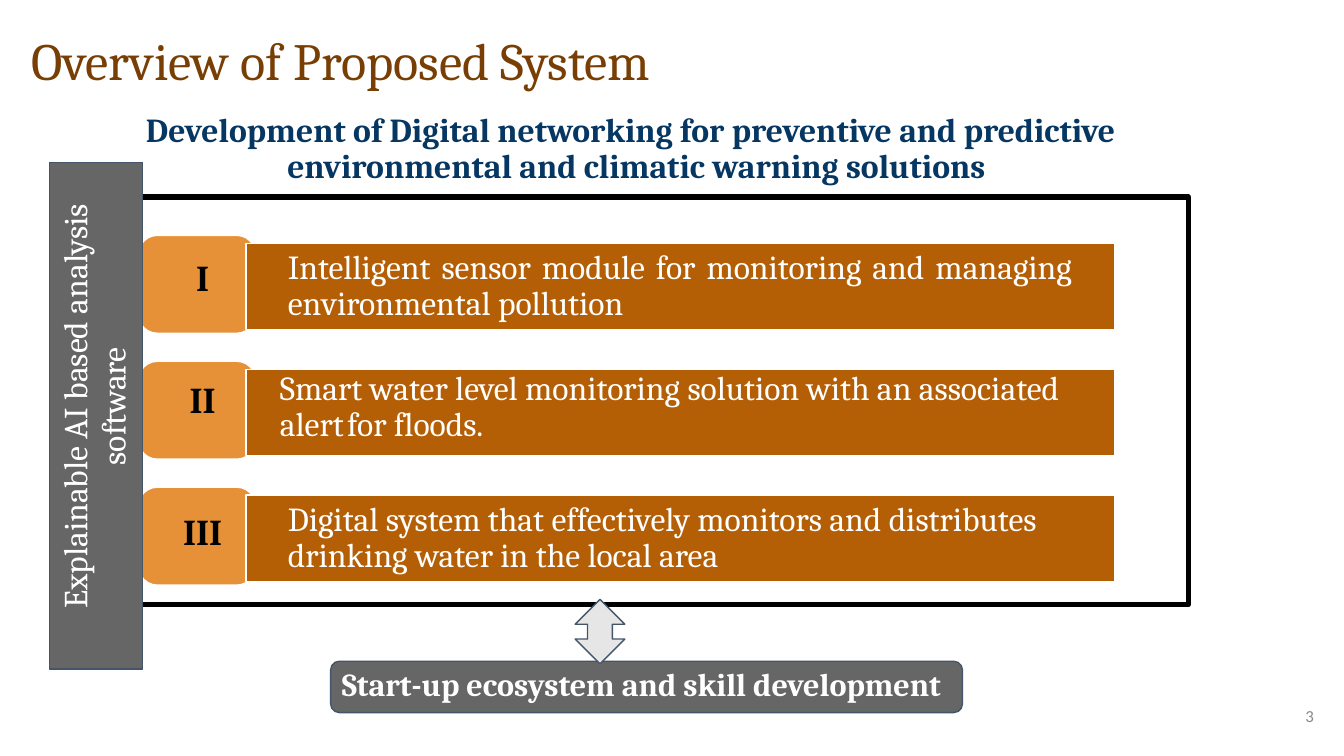
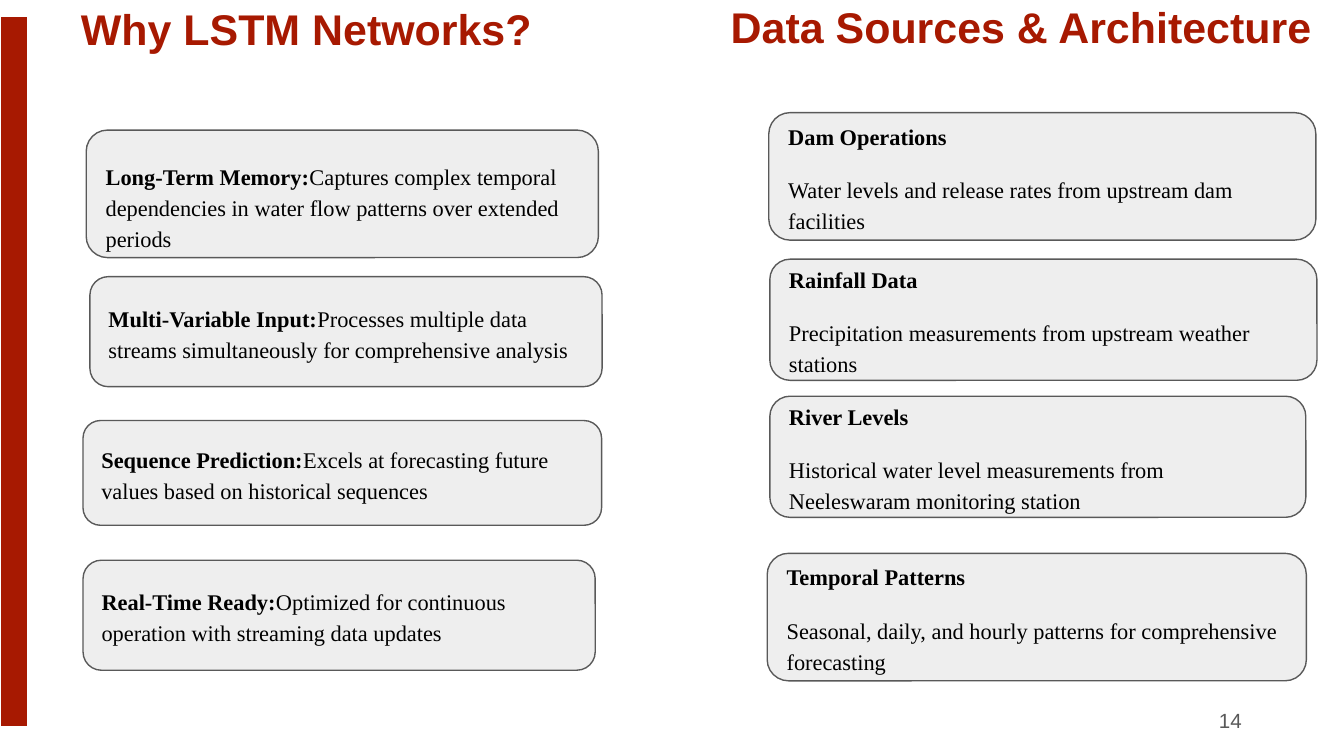
"""Build two slides: the proposed system overview and the reasons for LSTM networks."""

from lxml.etree import SubElement
from pptx import Presentation
from pptx.dml.color import RGBColor
from pptx.enum.shapes import MSO_SHAPE
from pptx.enum.text import MSO_ANCHOR, MSO_AUTO_SIZE, PP_ALIGN
from pptx.oxml.ns import qn
from pptx.util import Cm, Pt

THEME = {
    "colours": {
        "white": "FFFFFF", "black": "000000", "brown": "783E04", "navy": "063763",
        "row": "B45F06", "badge": "E69137", "block": "666666", "outline": "44546A",
        "arrow": "E7E6E6", "red": "A71901", "card": "EEEEEE", "edge": "595959",
        "number": "888888",
    },
    "text": {
        "title": ("Cambria", 28, "brown", False),
        "heading": ("Cambria", 18, "navy", True),
        "row": ("Cambria", 18, "white", False),
        "ecosystem": ("Cambria", 17.2, "white", True),
        "numeral": ("Cambria", 19.5, "black", True),
        "small number": ("Calibri", 9, "number", False),
        "section": ("Arial", 23, "red", True),
        "card": ("Times New Roman", 12, "black", False),
        "page number": ("Arial", 11, "edge", False),
    },
}

TITLE = "Overview of Proposed System"
HEADING = ("Development of Digital networking for preventive and predictive "
           "environmental and climatic warning solutions")
SOFTWARE = [("Explainable AI based analysis", 17.3), ("software", 20.5)]
ECOSYSTEM = "Start-up ecosystem and skill development"
ROW_PITCH = 2.38
ROWS = [
    {"numeral": "I", "numeral_top": 4.8, "indent": 0.51, "inset": 0.18,
     "align": PP_ALIGN.JUSTIFY,
     "text": "Intelligent sensor module for monitoring and managing environmental pollution"},
    {"numeral": "II", "numeral_top": 7.09, "indent": 0.36, "inset": 0.08,
     "align": PP_ALIGN.LEFT,
     "text": "Smart water level monitoring solution with an associated alert\tfor floods."},
    {"numeral": "III", "numeral_top": 9.6, "indent": 0.51, "inset": 0.18,
     "align": PP_ALIGN.LEFT,
     "text": "Digital system that effectively monitors and distributes "
             "drinking water in the local area"},
]

LSTM_TITLE = "Why LSTM Networks?"
LSTM_REASONS = [
    ((1.63, 2.46, 9.68, 2.41), "Long-Term Memory:",
     "Captures complex temporal dependencies in water flow patterns over extended periods"),
    ((1.7, 5.23, 9.68, 2.08), "Multi-Variable Input:",
     "Processes multiple data streams simultaneously for comprehensive analysis"),
    ((1.57, 7.95, 9.8, 1.98), "Sequence Prediction:",
     "Excels at forecasting future values based on historical sequences"),
    ((1.57, 10.59, 9.68, 2.08), "Real-Time Ready:",
     "Optimized for continuous operation with streaming data updates"),
]
SOURCES_TITLE = "Data Sources & Architecture"
DATA_SOURCES = [
    ((14.53, 2.13, 10.34, 2.41), "Dam Operations",
     "Water levels and release rates from upstream dam facilities"),
    ((14.55, 4.9, 10.34, 2.29), "Rainfall Data",
     "Precipitation measurements from upstream weather stations"),
    ((14.55, 7.49, 10.13, 2.29), "River Levels",
     "Historical water level measurements from Neeleswaram monitoring station"),
    ((14.5, 10.46, 10.19, 2.41), "Temporal Patterns",
     "Seasonal, daily, and hourly patterns for comprehensive forecasting"),
]


def colour(name):
    """Return a theme colour."""
    return RGBColor.from_string(THEME["colours"][name])


def apply(target, values):
    """Set each attribute named in values on target."""
    for name, value in values.items():
        setattr(target, name, value)


def place(shape, box):
    """Move and size a shape to a box given in centimetres."""
    apply(shape, dict(zip(("left", "top", "width", "height"), map(Cm, box))))


def add_box(slide, kind, box, fill=None, line=None, weight=0.75, adjustments=()):
    """Add a preset shape with the given fill and outline."""
    shape = slide.shapes.add_shape(kind, *map(Cm, box))
    shape.shadow.inherit = False
    for index, value in enumerate(adjustments):
        shape.adjustments[index] = value
    if fill:
        shape.fill.solid()
        shape.fill.fore_color.rgb = colour(fill)
    else:
        shape.fill.background()
    if line:
        shape.line.color.rgb = colour(line)
        shape.line.width = Pt(weight)
    else:
        shape.line.fill.background()
    return shape


def indent(paragraph, left, first=0, tab=None):
    """Set the indents and an optional tab stop of a paragraph in centimetres."""
    properties = paragraph._p.get_or_add_pPr()
    properties.set("marL", str(Cm(left)))
    properties.set("indent", str(Cm(first)))
    if tab:
        stops = SubElement(properties, qn("a:tabLst"))
        SubElement(stops, qn("a:tab"), pos=str(Cm(tab)), algn="l")


def write(shape, paragraphs, style, insets=(0, 0, 0, 0), anchor=MSO_ANCHOR.TOP,
          wrap=True, **layout):
    """Fill a shape with paragraphs, each a list of (text, bold) runs or a string."""
    family, size, tint, bold = THEME["text"][style]
    frame = shape.text_frame
    apply(frame, {"word_wrap": wrap, "auto_size": MSO_AUTO_SIZE.NONE,
                  "vertical_anchor": anchor})
    apply(frame, dict(zip(("margin_left", "margin_top", "margin_right", "margin_bottom"),
                          map(Cm, insets))))
    for index, runs in enumerate(paragraphs):
        paragraph = frame.add_paragraph() if index else frame.paragraphs[0]
        apply(paragraph, {"alignment": PP_ALIGN.LEFT, **layout})
        if index == 0:
            paragraph.space_before = Pt(0)
        for text, heavy in [(runs, bold)] if isinstance(runs, str) else runs:
            run = paragraph.add_run()
            run.text = text
            apply(run.font, {"name": family, "size": Pt(size), "bold": heavy})
            run.font.color.rgb = colour(tint)
    return frame.paragraphs


def add_text(slide, box, paragraphs, style, **options):
    """Add a text box and return its paragraphs."""
    return write(slide.shapes.add_textbox(*map(Cm, box)), paragraphs, style, **options)


def add_slide(presentation, title, box, style, **options):
    """Add a title-only slide with its title placed and formatted."""
    slide = presentation.slides.add_slide(presentation.slide_layouts[5])
    place(slide.shapes.title, box)
    write(slide.shapes.title, [title], style, **options)
    return slide


def build_overview(presentation):
    """Draw the system overview with its three numbered modules."""
    slide = add_slide(presentation, TITLE, (0.56, 0.51, 15.39, 1.27), "title",
                      insets=(0.03, 0.03, 0, 0))
    add_box(slide, MSO_SHAPE.ROUNDED_RECTANGLE, (6.25, 12.5, 11.94, 0.97),
            "block", "outline", adjustments=[0.167])
    add_box(slide, MSO_SHAPE.RECTANGLE, (2.01, 3.73, 20.45, 7.7), None, "black", 3)
    add_box(slide, MSO_SHAPE.UP_DOWN_ARROW, (10.87, 11.33, 0.94, 1.22),
            "arrow", "outline", adjustments=[0.5, 0.5])
    add_text(slide, (6.43, 12.52, 11.68, 0.76), [ECOSYSTEM], "ecosystem",
             insets=(0.03, 0.03, 0, 0))
    heading = add_text(slide, (2.74, 2.03, 18.82, 1.47), [HEADING], "heading",
                       insets=(0, 0.1, 0, 0), line_spacing=Pt(19.4))
    indent(heading[0], 2.69, -2.67)

    for index, row in enumerate(ROWS):
        shift = index * ROW_PITCH
        add_box(slide, MSO_SHAPE.ROUNDED_RECTANGLE, (2.62, 4.45 + shift, 2.21, 1.85),
                "badge", "white", adjustments=[0.19])
        add_box(slide, MSO_SHAPE.RECTANGLE, (4.65, 4.6 + shift, 16.41, 1.63),
                "row", "white")
        text = add_text(slide, (4.93, 4.55 + shift, 15.34, 1.5), [row["text"]], "row",
                        insets=(0, row["inset"], 0, 0), line_spacing=Pt(19.4),
                        alignment=row["align"])
        indent(text[0], row["indent"], tab=1.9 if "\t" in row["text"] else None)
        add_text(slide, (3.45, row["numeral_top"], 0.76, 0.86), [row["numeral"]],
                 "numeral", insets=(0, 0.03, 0, 0), wrap=False,
                 alignment=PP_ALIGN.CENTER)

    add_box(slide, MSO_SHAPE.RECTANGLE, (0.94, 3.07, 1.76, 9.58), "block", "outline")
    software = slide.shapes.add_textbox(*map(Cm, (1.17, 3.68, 1.35, 8)))
    paragraphs = write(software, [text for text, _ in SOFTWARE], "row",
                       alignment=PP_ALIGN.CENTER)
    for paragraph, (_, spacing) in zip(paragraphs, SOFTWARE):
        paragraph.line_spacing = Pt(spacing)
    software.text_frame._txBody.bodyPr.set("vert", "vert270")
    add_text(slide, (24.59, 13.39, 0.36, 0.64), ["3"], "small number",
             insets=(0.08, 0, 0, 0), wrap=False, line_spacing=Pt(9.3))


def add_card(slide, box, paragraphs, insets=(0.25, 0.25, 0.25, 0.25)):
    """Add a rounded card with text centred vertically."""
    card = add_box(slide, MSO_SHAPE.ROUNDED_RECTANGLE, box, "card", "edge",
                   adjustments=[0.167])
    write(card, paragraphs, "card", insets=insets, anchor=MSO_ANCHOR.MIDDLE,
          line_spacing=1.15, space_before=Pt(12))


def build_networks(presentation):
    """Draw the LSTM reasons beside the data sources."""
    slide = add_slide(presentation, LSTM_TITLE, (1.35, -0.28, 21.23, 2.72), "section",
                      insets=(0.18, 0.18, 0.18, 0.18), line_spacing=1.15)
    add_text(slide, (17.93, 13.23, 5.72, 0.76), ["14"], "page number",
             insets=(0.18, 0.1, 0.18, 0.1), anchor=MSO_ANCHOR.MIDDLE,
             alignment=PP_ALIGN.RIGHT)
    add_box(slide, MSO_SHAPE.RECTANGLE, (0, 0.3, 0.53, 13.44), "red", "white")
    add_text(slide, (13.56, -0.38, 11.84, 1.5), [SOURCES_TITLE], "section",
             insets=(0.25, 0.25, 0.25, 0.25), line_spacing=1.15)
    for index, (box, label, detail) in enumerate(LSTM_REASONS):
        insets = (0.25, 0.25, 0.25, 0.25) if index else (0.25, 0.43, 0.25, 0)
        add_card(slide, box, [[(label, True), (detail, False)]], insets)
    for box, label, detail in DATA_SOURCES:
        add_card(slide, box, [[(label, True)], [(detail, False)]])


def main():
    """Build and save the presentation."""
    presentation = Presentation()
    apply(presentation, {"slide_width": Cm(25.4), "slide_height": Cm(14.29)})
    build_overview(presentation)
    build_networks(presentation)
    presentation.save("out.pptx")


if __name__ == "__main__":
    main()
